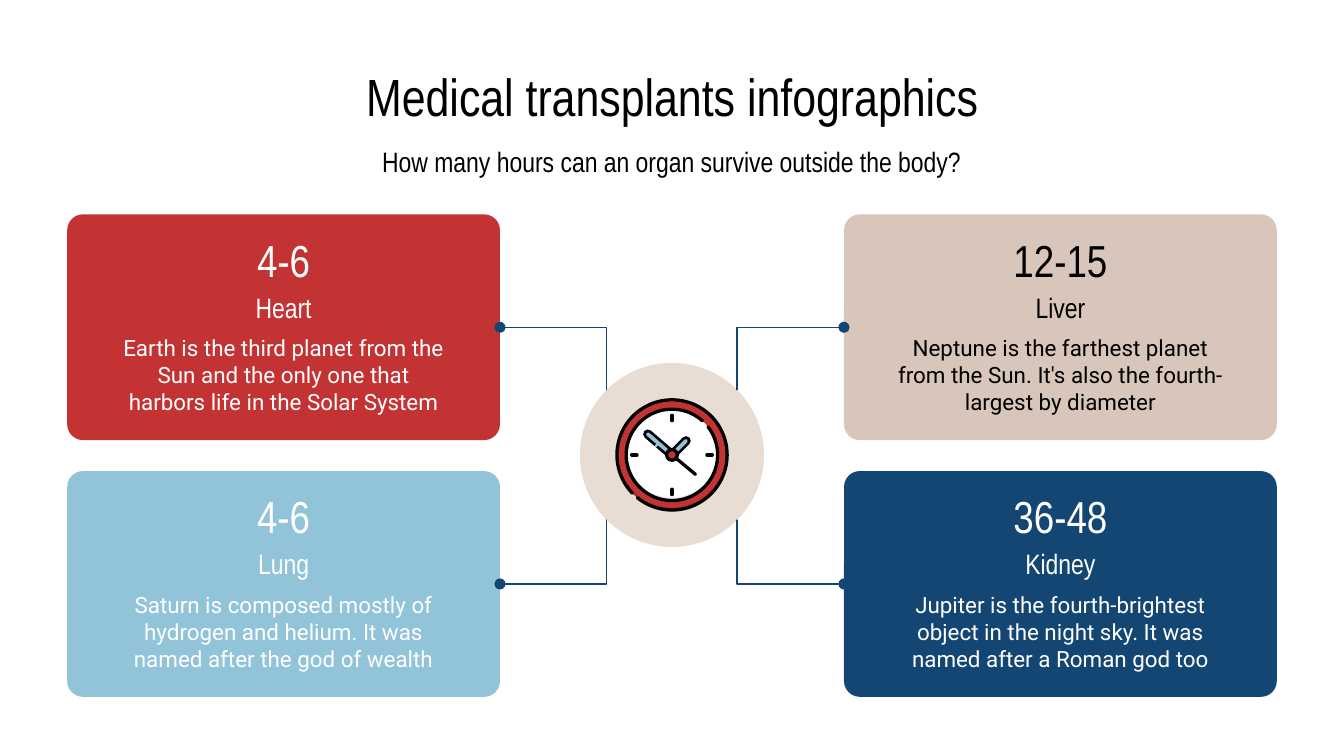
from dataclasses import dataclass
from math import cos, pi, sin

from pptx import Presentation
from pptx.dml.color import RGBColor
from pptx.enum.shapes import MSO_CONNECTOR as Conn, MSO_SHAPE as Shape
from pptx.enum.text import MSO_ANCHOR as Anchor, PP_ALIGN as Align
from pptx.oxml.ns import qn
from pptx.oxml.xmlchemy import OxmlElement
from pptx.util import Emu, Pt

PX = 4572  # EMU per px, 200 px to the inch


@dataclass(frozen=True)
class Theme:
    red: str = "C43333"
    sand: str = "D9C6BA"
    pale: str = "E9DCD3"
    sky: str = "91C4D9"
    navy: str = "144673"
    black: str = "000000"
    white: str = "FFFFFF"
    head_font: str = "Arial Narrow"
    body_font: str = "Roboto"
    title: int = 28
    hours: int = 24
    label: int = 15
    body: int = 12
    line: float = 0.75
    ink: float = 1.75  # clock outline
    shade: int = 13  # percent opacity


T = Theme()


@dataclass(frozen=True)
class Card:
    col: int
    row: int
    hours: str
    organ: str
    note: str
    fill: str
    color: str = T.white


@dataclass(frozen=True)
class Stroke:
    start: tuple[int, int]
    end: tuple[int, int]
    color: str = T.black
    width: float = T.ink


CARDS = [
    Card(0, 0, "4-6", "Heart", "Earth is the third planet from the Sun and the only one "
         "that harbors life in the Solar System", T.red),
    Card(1, 0, "12-15", "Liver", "Neptune is the farthest planet from the Sun. It's also "
         "the fourth-largest by diameter", T.sand, T.black),
    Card(0, 1, "4-6", "Lung", "Saturn is composed mostly of hydrogen and helium. It was "
         "named after the god of wealth", T.sky),
    Card(1, 1, "36-48", "Kidney", "Jupiter is the fourth-brightest object in the night sky. "
         "It was named after a Roman god too", T.navy),
]
CARD_W, CARD_H = 644, 336
CARD_X, CARD_Y = (100, 1256), (319, 701)
CX, CY = 1000, 677  # clock centre

STROKES = [
    # Hour marks
    Stroke((CX, 618), (CX, 626)),
    Stroke((CX, 728), (CX, 736)),
    Stroke((1052, CY), (1060, CY)),
    Stroke((940, CY), (948, CY)),
    # Second, minute and hour hands, with a gap in the minute hand's outline
    Stroke((CX, CY), (1035, 706)),
    Stroke((964, 646), (CX, CY), width=5),
    Stroke((1021, 656), (CX, CY), width=5),
    Stroke((964, 646), (CX, CY), T.sky, 2),
    Stroke((1021, 656), (CX, CY), T.sky, 2),
    Stroke((979, 660), (976, 664), T.sky, 1.25),
]


def rgb(color: str) -> RGBColor:
    return RGBColor.from_string(color)


def emu(*px: int) -> list[Emu]:
    return [Emu(v * PX) for v in px]


def set_line(sp, color: str, width: float) -> None:
    sp.line.color.rgb = rgb(color)
    sp.line.width = Pt(width)
    sp.element.spPr.find(qn("a:ln")).set("cap", "rnd")


def add_text(shapes, x: int, y: int, w: int, h: int, text: str, *, size: int,
             color: str = T.black, font: str = T.head_font,
             anchor: Anchor = Anchor.MIDDLE, top: int = 20) -> None:
    tf = shapes.add_textbox(*emu(x, y, w, h)).text_frame
    tf.word_wrap = True
    tf.vertical_anchor = anchor
    tf.margin_left = tf.margin_right = tf.margin_bottom = Emu(20 * PX)
    tf.margin_top = Emu(top * PX)
    p = tf.paragraphs[0]
    p.alignment = Align.CENTER
    r = p.add_run()
    r.text = text
    r.font.size = Pt(size)
    r.font.name = font
    r.font.color.rgb = rgb(color)


def add_filled(shapes, kind: Shape, x: int, y: int, w: int, h: int, fill: str):
    sp = shapes.add_shape(kind, *emu(x, y, w, h))
    sp.shadow.inherit = False
    sp.fill.solid()
    sp.fill.fore_color.rgb = rgb(fill)
    sp.line.fill.background()
    return sp


def add_disc(shapes, diameter: int, fill: str):
    r = diameter // 2
    return add_filled(shapes, Shape.OVAL, CX - r, CY - r, diameter, diameter, fill)


def add_ring(shapes, diameter: int, start: int, end: int) -> None:
    """Open ring, running clockwise between two angles in degrees."""
    r = diameter // 2
    sp = shapes.add_shape(Shape.ARC, *emu(CX - r, CY - r, diameter, diameter))
    sp.shadow.inherit = False
    sp.fill.background()
    sp.adjustments[0], sp.adjustments[1] = start * 0.6, end * 0.6
    set_line(sp, T.black, T.ink)


def add_shade(shapes, radius: int) -> None:
    """Translucent crescent along the lower edge of a disc."""
    steps = 24
    angles = [pi * i / steps for i in range(steps + 1)]
    outer = [(CX + radius * cos(a), CY + radius * sin(a)) for a in angles]
    inner = [(CX + radius * cos(a), CY - 4 + radius * sin(a)) for a in reversed(angles)]
    points = [(x * PX, y * PX) for x, y in outer + inner]
    builder = shapes.build_freeform(*points[0])
    builder.add_line_segments(points[1:], close=True)
    sp = builder.convert_to_shape()
    sp.shadow.inherit = False
    sp.fill.solid()
    sp.fill.fore_color.rgb = rgb(T.black)
    sp.line.fill.background()
    alpha = OxmlElement("a:alpha")
    alpha.set("val", str(T.shade * 1000))
    sp.element.spPr.find(qn("a:solidFill"))[0].append(alpha)


def add_line(shapes, stroke: Stroke, kind: Conn = Conn.STRAIGHT):
    sp = shapes.add_connector(kind, *emu(*stroke.start, *stroke.end))
    set_line(sp, stroke.color, stroke.width)
    sp.element.spPr.append(OxmlElement("a:effectLst"))
    return sp


def add_elbow(shapes, card: Card) -> None:
    """Dotted-end elbow from a card's inner edge to the hub."""
    start = ((744, 1256)[card.col], CARD_Y[card.row] + CARD_H // 2)
    end = ((903, 1097)[card.col], (580, 774)[card.row])
    sp = add_line(shapes, Stroke(start, end, T.navy, T.line), Conn.ELBOW)
    sp.element.spPr.find(qn("a:prstGeom")).set("prst", "bentConnector2")
    head = OxmlElement("a:headEnd")
    head.set("type", "oval")
    sp.element.spPr.find(qn("a:ln")).append(head)


def add_card(shapes, card: Card) -> None:
    x, y = CARD_X[card.col], CARD_Y[card.row]
    sp = add_filled(shapes, Shape.ROUNDED_RECTANGLE, x, y, CARD_W, CARD_H, card.fill)
    sp.adjustments[0] = 0.07
    tx, tw = x + 57, 530
    add_text(shapes, tx, y + 27, tw, 80, card.hours, size=T.hours, color=card.color)
    add_text(shapes, tx, y + 109, tw, 58, card.organ, size=T.label, color=card.color,
             anchor=Anchor.TOP, top=4)
    add_text(shapes, tx, y + 175, tw, 140, card.note, size=T.body, color=card.color,
             font=T.body_font, anchor=Anchor.TOP, top=4)


def add_clock(shapes) -> None:
    for diameter, fill in ((164, T.red), (136, T.white)):
        add_disc(shapes, diameter, fill)
        add_shade(shapes, diameter // 2)
    add_ring(shapes, 164, 136, 129)
    add_ring(shapes, 136, 322, 312)
    for stroke in STROKES:
        add_line(shapes, stroke)
    set_line(add_disc(shapes, 16, T.red), T.black, T.ink)
    add_shade(shapes, 8)


def main() -> None:
    prs = Presentation()
    prs.slide_width, prs.slide_height = emu(2000, 1125)
    shapes = prs.slides.add_slide(prs.slide_layouts[6]).shapes

    # Headings
    add_text(shapes, 100, 90, 1800, 106, "Medical transplants infographics", size=T.title)
    add_text(shapes, 100, 200, 1800, 80,
             "How many hours can an organ survive outside the body?", size=T.label)

    # Cards, hub and connectors
    for card in CARDS:
        add_card(shapes, card)
    add_disc(shapes, 274, T.pale)
    for card in CARDS:
        add_elbow(shapes, card)
    add_clock(shapes)

    prs.save("out.pptx")


if __name__ == "__main__":
    main()
